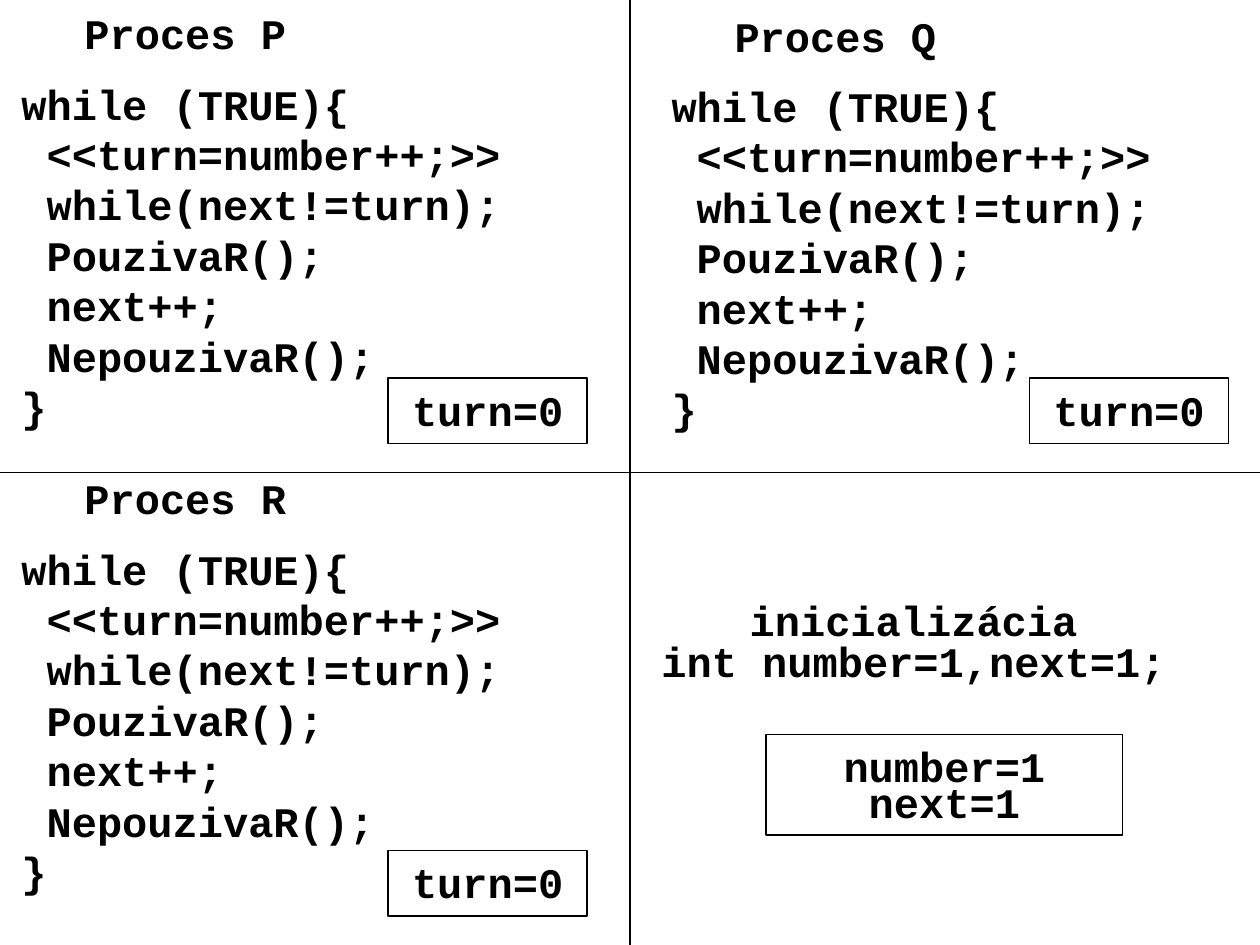
from pptx import Presentation, util as u
from pptx.dml.color import RGBColor
from pptx.enum import shapes, text
from pptx.oxml.ns import qn
from lxml import etree

COLORS = {"ink": "000000"}
INK = RGBColor.from_string(COLORS["ink"])

deck = Presentation()
deck.slide_width, deck.slide_height = u.Inches(10), u.Inches(7.5)
column, row = deck.slide_width // 2, deck.slide_height // 2
slide = deck.slides.add_slide(deck.slide_layouts[6])


def write(frame, lines, top=0, bottom=0, align=text.PP_ALIGN.LEFT, spacing=1.0):
    """Fill a frame with bold monospaced lines."""
    frame.word_wrap = True
    frame.vertical_anchor = text.MSO_ANCHOR.TOP
    frame.margin_left = frame.margin_right = 0
    frame.margin_top, frame.margin_bottom = u.Inches(top), u.Inches(bottom)
    frame.text = "\n".join(lines)
    for paragraph in frame.paragraphs:
        paragraph.alignment = align
        paragraph.line_spacing = spacing
        font = paragraph.runs[0].font
        font.name, font.size, font.bold = "Courier New", u.Pt(24), True
        font.color.rgb = INK


def add_values(left, top, width, height, lines):
    """Outlined box showing current variable values."""
    values = slide.shapes.add_shape(
        shapes.MSO_SHAPE.RECTANGLE, left, top, u.Inches(width), u.Inches(height))
    values.shadow.inherit = False
    values.fill.background()
    values.line.color.rgb = INK
    values.line.width = u.Pt(1)
    write(values.text_frame, lines, 0.16, 0.08, text.PP_ALIGN.CENTER, 0.7)


# Process quadrants: name, grid cell, code offset and width, turn box offset
code = [
    "while (TRUE){",
    " <<turn=number++;>>",
    " while(next!=turn);",
    " PouzivaR();",
    " next++;",
    " NepouzivaR();",
    "}",
]
processes = [
    ("P", 0, 0, (0.17, 0.06), 4, (3.08, 3)),
    ("Q", 1, 0, (0.33, 0.08), 4.17, (3.17, 3)),
    ("R", 0, 1, (0.17, 0), 4, (3.08, 3)),
]
for name, col, line, (code_x, code_y), code_width, (turn_x, turn_y) in processes:
    left, top = col * column, line * row
    listing = slide.shapes.add_textbox(
        left + u.Inches(code_x), top + u.Inches(code_y),
        u.Inches(code_width), u.Inches(3.36))
    write(listing.text_frame, [f"\tProces {name}"] + code)
    listing.text_frame.paragraphs[0].space_after = u.Pt(11.5)
    add_values(left + u.Inches(turn_x), top + u.Inches(turn_y), 1.58, 0.52, ["turn=0"])

# Initialisation quadrant
initialisation = slide.shapes.add_textbox(
    u.Inches(4.75), u.Inches(4.25), u.Inches(5), u.Inches(1.21))
write(initialisation.text_frame, ["inicializácia", "int number=1,next=1;"],
      0.54, 0, text.PP_ALIGN.CENTER, 0.81)
add_values(u.Inches(6.08), u.Inches(5.83), 2.83, 0.8, ["number=1", "next=1"])

# Quadrant dividers
for ends in [(0, row, 2 * column, row), (column, 0, column, 2 * row)]:
    divider = slide.shapes.add_connector(shapes.MSO_CONNECTOR.STRAIGHT, *ends)
    divider.line.color.rgb = INK
    divider.line.width = u.Pt(1)
    etree.SubElement(divider._element.spPr, qn("a:effectLst"))

deck.save("out.pptx")
